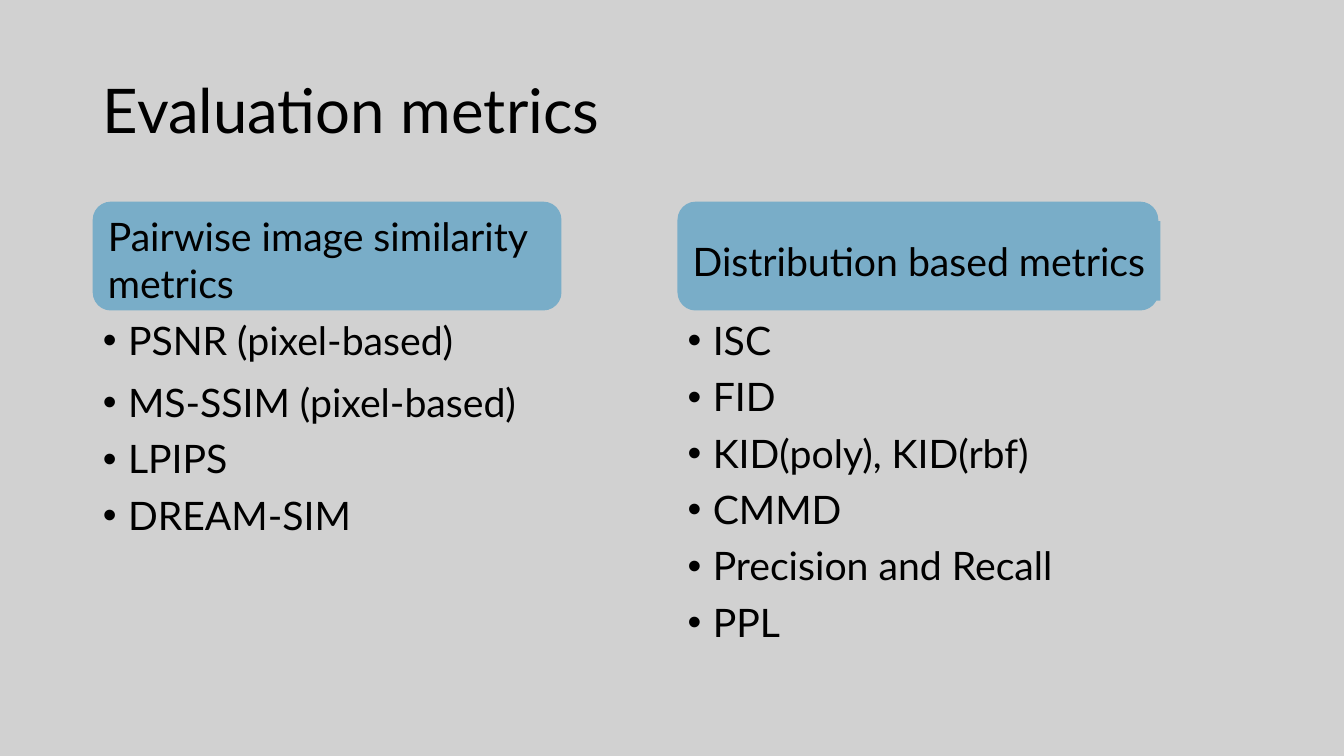
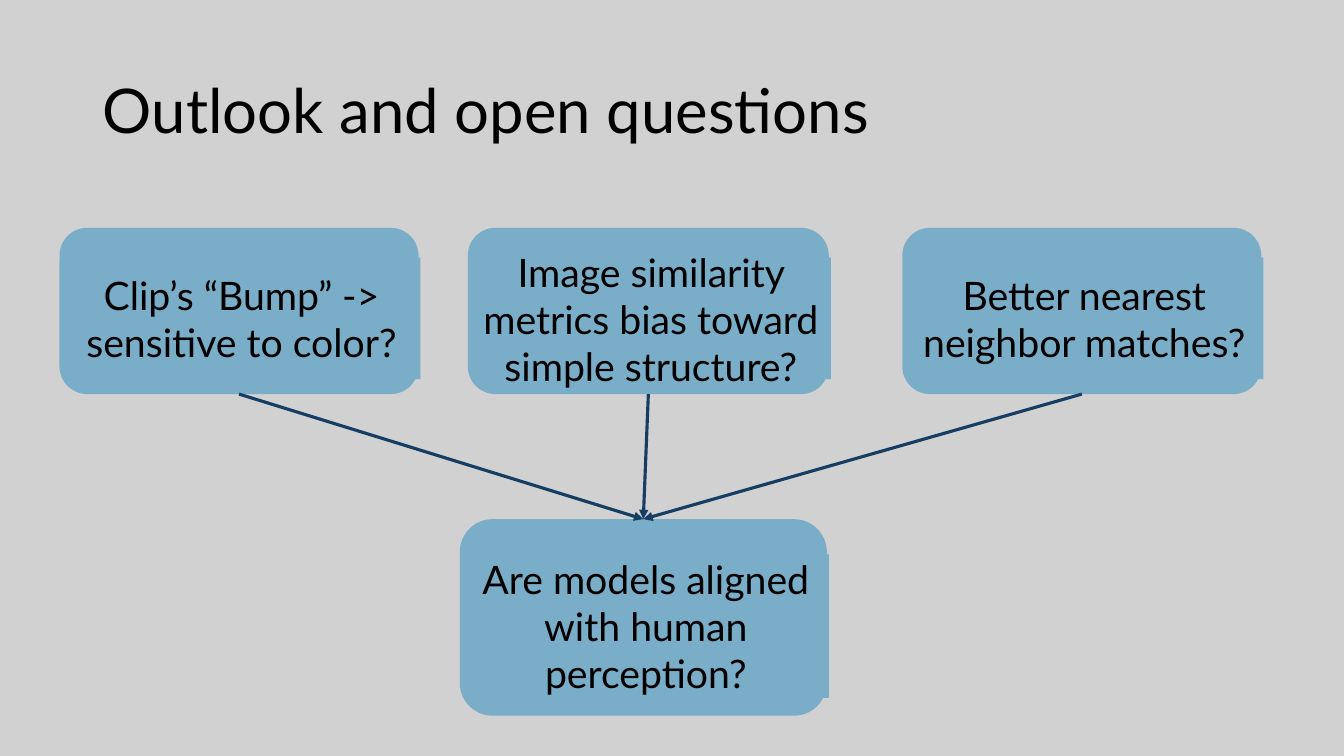
import pptx
import pptx.dml.color
import pptx.enum.shapes
import pptx.enum.text
import pptx.oxml
import pptx.oxml.ns
import pptx.util

Pt = pptx.util.Pt
Inches = pptx.util.Inches
SHAPE = pptx.enum.shapes.MSO_SHAPE
ANCHOR = pptx.enum.text.MSO_ANCHOR
ALIGN = pptx.enum.text.PP_ALIGN
qn = pptx.oxml.ns.qn

COLORS = {"background": "D1D1D1", "box": "79ADC8", "text": "000000", "arrow": "163E64"}
FONT = "Lato"
TITLE_SIZE, TEXT_SIZE = 44, 28
WIDTH, HEIGHT = Inches(13.33), Inches(7.5)
TWO_CONTENT, TITLE_ONLY = 3, 5

# Boxes are (left, top, width, height) in percent of the slide.
TITLE_BOX = (6.9, 5.33, 86.27, 19.33)
COLUMNS = (6.9, 50.41)
HEADER_TOP, HEADER_HEIGHT = 26.67, 14.4
LIST_TOP, LIST_WIDTH = 41.87, 40.96
CARD_TOP, CARD_HEIGHT = 30.13, 22


def rgb(name):
    return pptx.dml.color.RGBColor.from_string(COLORS[name])


def emu(box):
    x, y, w, h = box
    return int(x * WIDTH / 100), int(y * HEIGHT / 100), int(w * WIDTH / 100), int(h * HEIGHT / 100)


def move(sp, box):
    sp.left, sp.top, sp.width, sp.height = emu(box)


def write(p, text, size=TEXT_SIZE, align=ALIGN.LEFT, spacing=1.0, before=0):
    p.alignment = align
    p.line_spacing = spacing
    p.space_before = Pt(before)
    r = p.add_run()
    r.text = text
    r.font.size = Pt(size)
    r.font.name = FONT
    r.font.color.rgb = rgb("text")


def add_bullet(p):
    pPr = p._p.get_or_add_pPr()
    pPr.set("marL", str(Inches(0.25)))
    pPr.set("indent", str(-Inches(0.25)))
    color = pptx.oxml.parse_xml(
        '<a:buClr xmlns:a="http://schemas.openxmlformats.org/drawingml/2006/main">'
        f'<a:srgbClr val="{COLORS["text"]}"/></a:buClr>')
    pPr.append(color)
    font = pPr.makeelement(qn("a:buFont"), {"typeface": "Arial"})
    pPr.append(font)
    pPr.append(pPr.makeelement(qn("a:buChar"), {"char": "•"}))


def add_slide(prs, layout, title):
    slide = prs.slides.add_slide(prs.slide_layouts[layout])
    sp = slide.shapes.title
    move(sp, TITLE_BOX)
    tf = sp.text_frame
    tf.auto_size = pptx.enum.text.MSO_AUTO_SIZE.NONE
    tf.vertical_anchor = ANCHOR.MIDDLE
    write(tf.paragraphs[0], title, size=TITLE_SIZE, spacing=0.9)
    return slide


def fill_list(sp, box, items, gaps):
    """Put a bullet list in a placeholder; gaps maps an item to its own space before."""
    move(sp, box)
    tf = sp.text_frame
    tf.auto_size = pptx.enum.text.MSO_AUTO_SIZE.NONE
    for i, item in enumerate(items):
        p = tf.add_paragraph() if i else tf.paragraphs[0]
        add_bullet(p)
        write(p, item, spacing=0.9, before=gaps.get(item, 10) if i else 0)


def add_box(shapes, kind, bounds):
    sp = shapes.add_shape(kind, *bounds)
    sp.shadow.inherit = False
    sp.fill.solid()
    sp.fill.fore_color.rgb = rgb("box")
    sp.line.fill.background()
    sp.text_frame.word_wrap = True
    return sp


def add_card(slide, box, text, align=ALIGN.CENTER):
    """Group a rounded box with a label rectangle set slightly to its right."""
    x, y, w, h = emu(box)
    group = slide.shapes.add_group_shape()
    add_box(group.shapes, SHAPE.ROUNDED_RECTANGLE, (x, y, w, h))
    bounds = (x + Inches(0.03), y + int(0.18 * h), w - Inches(0.01), int(0.73 * h))
    tf = add_box(group.shapes, SHAPE.RECTANGLE, bounds).text_frame
    tf.margin_left = tf.margin_right = tf.margin_top = tf.margin_bottom = Inches(0.12)
    tf.vertical_anchor = ANCHOR.MIDDLE
    write(tf.paragraphs[0], text, align=align)


def add_arrow(slide, upper, lower):
    """Draw from the bottom centre of one box to the top centre of another."""
    x1, y1, w1, h1 = emu(upper)
    x2, y2, w2, _ = emu(lower)
    line = slide.shapes.add_connector(
        pptx.enum.shapes.MSO_CONNECTOR.STRAIGHT, x1 + w1 // 2, y1 + h1, x2 + w2 // 2, y2)
    line.line.color.rgb = rgb("arrow")
    line.line.width = Pt(2.25)
    ln = line.line._get_or_add_ln()
    ln.append(ln.makeelement(qn("a:tailEnd"), {"type": "triangle"}))
    spPr = line._element.spPr
    spPr.append(spPr.makeelement(qn("a:effectLst"), {}))


def build_metrics(prs):
    slide = add_slide(prs, TWO_CONTENT, "Evaluation metrics")
    left, right = COLUMNS
    header = add_box(slide.shapes, SHAPE.ROUNDED_RECTANGLE,
                     emu((left, HEADER_TOP, 34.88, HEADER_HEIGHT)))
    header.text_frame.vertical_anchor = ANCHOR.TOP
    write(header.text_frame.paragraphs[0], "Pairwise image similarity metrics")
    add_card(slide, (right, HEADER_TOP, 35.78, HEADER_HEIGHT),
             "Distribution based metrics", align=ALIGN.LEFT)
    lists = (
        ("PSNR (pixel-based)", "MS-SSIM (pixel-based)", "LPIPS", "DREAM-SIM"),
        ("ISC", "FID", "KID(poly), KID(rbf)", "CMMD", "Precision and Recall", "PPL"),
    )
    for idx, (x, h, items) in enumerate(zip(COLUMNS, (31.07, 48.27), lists), start=1):
        fill_list(slide.placeholders[idx], (x, LIST_TOP, LIST_WIDTH, h), items,
                  gaps={"MS-SSIM (pixel-based)": 14})


def build_outlook(prs):
    slide = add_slide(prs, TITLE_ONLY, "Outlook and open questions")
    conclusion = (34.21, 68.67, 27.31, 26)
    add_card(slide, conclusion, "Are models aligned with human perception?")
    questions = (
        (4.43, 26.71, "Clip’s “Bump” -> sensitive to color?"),
        (34.81, 26.86, "Image similarity metrics bias toward simple structure?"),
        (67.14, 26.71, "Better nearest neighbor matches?"),
    )
    for x, w, text in questions:
        box = (x, CARD_TOP, w, CARD_HEIGHT)
        add_card(slide, box, text)
        add_arrow(slide, box, conclusion)


def main():
    prs = pptx.Presentation()
    prs.slide_width, prs.slide_height = WIDTH, HEIGHT
    fill = prs.slide_master.background.fill
    fill.solid()
    fill.fore_color.rgb = rgb("background")
    build_metrics(prs)
    build_outlook(prs)
    prs.save("out.pptx")


if __name__ == "__main__":
    main()
